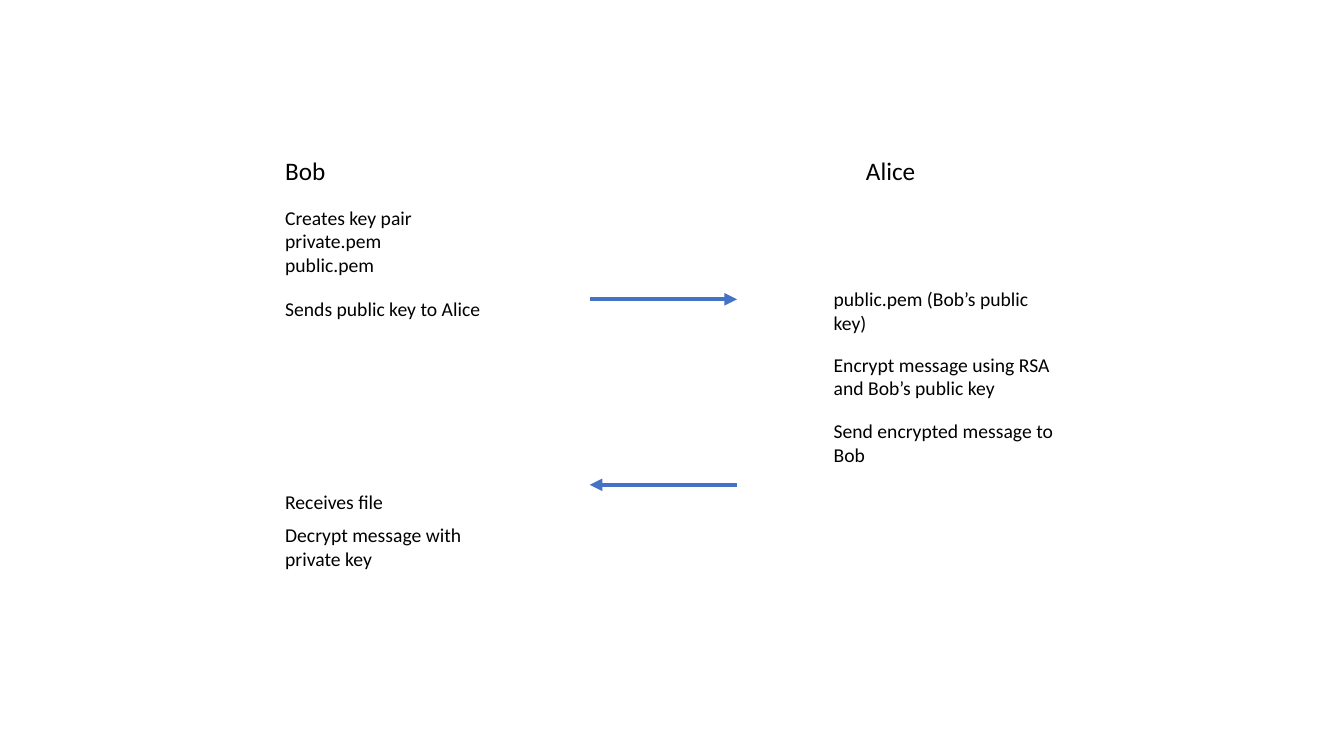
"""Build a slide showing Bob and Alice exchanging an RSA-encrypted message."""
from lxml.etree import SubElement
from pptx import Presentation
from pptx.dml.color import RGBColor
from pptx.enum.shapes import MSO_CONNECTOR
from pptx.enum.text import MSO_AUTO_SIZE
from pptx.oxml.ns import qn
from pptx.util import Inches, Pt

COLORS = {"text": "000000", "arrow": "4472C4"}
FONT = "Calibri"
BOB_LEFT, ALICE_LEFT, ALICE_NAME_LEFT = 2.73, 8.17, 8.49
NAME_TOP, NAME_WIDTH, STEP_WIDTH = 1.49, 1.05, 2.43
BOB_SIDE, ALICE_SIDE = 5.85, 7.31
LINE_HEIGHT, PADDING = 1.2 / 72, 0.1

prs = Presentation()
prs.slide_width, prs.slide_height = Inches(13.33), Inches(7.5)
slide = prs.slides.add_slide(prs.slide_layouts[6])


def add_text(left, top, width, size, rows, paragraphs):
    height = rows * size * LINE_HEIGHT + PADDING
    box = slide.shapes.add_textbox(Inches(left), Inches(top), Inches(width), Inches(height))
    frame = box.text_frame
    frame.word_wrap = True
    frame.auto_size = MSO_AUTO_SIZE.SHAPE_TO_FIT_TEXT
    for index, words in enumerate(paragraphs):
        paragraph = frame.add_paragraph() if index else frame.paragraphs[0]
        run = paragraph.add_run()
        run.text = words
        run.font.name = FONT
        run.font.size = Pt(size)
        run.font.color.rgb = RGBColor.from_string(COLORS["text"])


for left, person in [(BOB_LEFT, "Bob"), (ALICE_NAME_LEFT, "Alice")]:
    add_text(left, NAME_TOP, NAME_WIDTH, 18, 1, [person])

steps = [
    (BOB_LEFT, 1.99, 3, ["Creates key pair", "private.pem", "public.pem"]),
    (BOB_LEFT, 2.9, 1, ["Sends public key to Alice"]),
    (ALICE_LEFT, 2.8, 2, ["public.pem (Bob’s public key)"]),
    (ALICE_LEFT, 3.45, 2, ["Encrypt message using RSA and Bob’s public key"]),
    (ALICE_LEFT, 4.11, 2, ["Send encrypted message to Bob"]),
    (BOB_LEFT, 4.81, 1, ["Receives file"]),
    (BOB_LEFT, 5.14, 2, ["Decrypt message with private key"]),
]
for left, top, rows, paragraphs in steps:
    add_text(left, top, STEP_WIDTH, 14, rows, paragraphs)

for sender, receiver, level in [(BOB_SIDE, ALICE_SIDE, 2.97), (ALICE_SIDE, BOB_SIDE, 4.81)]:
    message = slide.shapes.add_connector(
        MSO_CONNECTOR.STRAIGHT, Inches(sender), Inches(level), Inches(receiver), Inches(level))
    message.line.color.rgb = RGBColor.from_string(COLORS["arrow"])
    message.line.width = Pt(3)
    SubElement(message.line._get_or_add_ln(), qn("a:tailEnd"), type="triangle")
    SubElement(message._element.spPr, qn("a:effectLst"))

prs.save("out.pptx")
